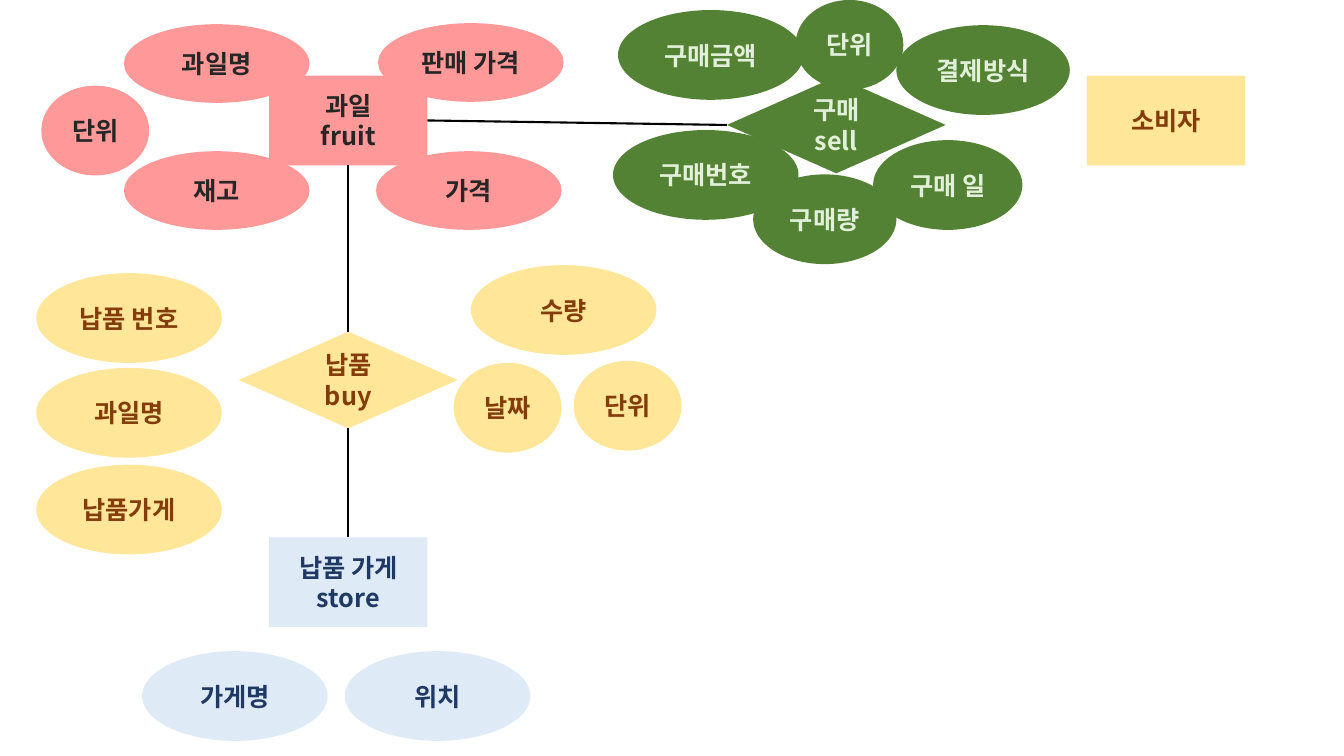
from dataclasses import dataclass

from lxml import etree
from pptx import Presentation
from pptx.dml.color import RGBColor
from pptx.enum import shapes, text
from pptx.oxml import ns
from pptx.util import Inches, Pt


@dataclass(frozen=True)
class Theme:
    font: str = "Noto Sans CJK KR"
    size: float = 18
    line: str = "000000"
    line_width: float = 1.5
    # (fill, text) pairs
    fruit: tuple = ("FF9999", "262626")
    supply: tuple = ("FFE699", "843C0B")
    store: tuple = ("DEEBF7", "203864")
    sale: tuple = ("548235", "E2F0D9")


THEME = Theme()
KIND = shapes.MSO_SHAPE
ENTITY_SIZE = (1.57, 0.89)
RELATION_SIZE = (2.17, 0.96)
HEIGHT = 0.89
WIDE, SMALL = 1.84, 1.07
BOTTOM, TOP, RIGHT, LEFT = 2, 0, 3, 1  # connection sites

# label, left, top, width, height
FRUIT_ATTRIBUTES = [
    ("과일명", 1.23, 0.24, WIDE, 0.78),
    ("가격", 3.73, 1.5, WIDE, 0.78),
    ("재고", 1.23, 1.5, WIDE, 0.78),
    ("판매 가격", 3.75, 0.23, WIDE, 0.78),
    ("단위", 0.41, 0.85, SMALL, HEIGHT),
]
STORE_ATTRIBUTES = [
    ("가게명", 1.41, 6.46, WIDE, HEIGHT),
    ("위치", 3.42, 6.46, WIDE, HEIGHT),
]
SUPPLY_ATTRIBUTES = [
    ("납품 번호", 0.36, 2.71, WIDE, HEIGHT),
    ("과일명", 0.36, 3.65, WIDE, HEIGHT),
    ("납품가게", 0.36, 4.61, WIDE, HEIGHT),
    ("수량", 4.67, 2.63, WIDE, HEIGHT),
    ("날짜", 4.5, 3.6, SMALL, HEIGHT),
    ("단위", 5.69, 3.58, SMALL, HEIGHT),
]
SALE_ATTRIBUTES = [
    ("구매번호", 6.08, 1.29, WIDE, HEIGHT),
    ("구매량", 7.47, 1.73, 1.42, HEIGHT),
    ("단위", 7.89, 0, SMALL, HEIGHT),
    ("구매금액", 6.13, 0.1, WIDE, HEIGHT),
    ("구매 일", 8.66, 1.39, 1.48, HEIGHT),
    ("결제방식", 8.89, 0.25, 1.72, HEIGHT),
]


def write_label(tf, label, color):
    """Write each line of the label as a centred paragraph."""
    tf.word_wrap = True
    tf.vertical_anchor = text.MSO_ANCHOR.MIDDLE
    formats = {"name": THEME.font, "size": Pt(THEME.size), "bold": True}
    for i, line in enumerate(label.split("\n")):
        p = tf.add_paragraph() if i else tf.paragraphs[0]
        p.alignment = text.PP_ALIGN.CENTER
        r = p.add_run()
        r.text = line
        for name, value in formats.items():
            setattr(r.font, name, value)
        r.font.color.rgb = RGBColor.from_string(color)
        ea = etree.SubElement(r.font._element, ns.qn("a:ea"))
        ea.set("typeface", THEME.font)


def add_node(s, kind, label, left, top, width, height, colors):
    fill, color = colors
    sp = s.shapes.add_shape(kind, *map(Inches, (left, top, width, height)))
    sp.shadow.inherit = False
    sp.fill.solid()
    sp.fill.fore_color.rgb = RGBColor.from_string(fill)
    sp.line.fill.background()
    write_label(sp.text_frame, label, color)
    return sp


def add_entity(s, label, left, top, colors):
    return add_node(s, KIND.RECTANGLE, label, left, top, *ENTITY_SIZE, colors)


def add_relation(s, label, left, top, colors):
    return add_node(s, KIND.DIAMOND, label, left, top, *RELATION_SIZE, colors)


def add_attributes(s, attributes, colors):
    for attribute in attributes:
        add_node(s, KIND.OVAL, *attribute, colors)


def add_link(s, start, start_site, end, end_site):
    link = s.shapes.add_connector(shapes.MSO_CONNECTOR.STRAIGHT, 0, 0, 0, 0)
    link.begin_connect(start, start_site)
    link.end_connect(end, end_site)
    link.line.color.rgb = RGBColor.from_string(THEME.line)
    link.line.width = Pt(THEME.line_width)
    etree.SubElement(link._element.spPr, ns.qn("a:effectLst"))


def main():
    prs = Presentation()
    prs.slide_width, prs.slide_height = Inches(13.33), Inches(7.5)
    s = prs.slides.add_slide(prs.slide_layouts[6])

    fruit = add_entity(s, "과일\nfruit", 2.67, 0.75, THEME.fruit)
    add_entity(s, "소비자", 10.78, 0.75, THEME.supply)
    add_attributes(s, FRUIT_ATTRIBUTES, THEME.fruit)

    store = add_entity(s, "납품 가게\nstore", 2.67, 5.33, THEME.store)
    add_attributes(s, STORE_ATTRIBUTES, THEME.store)

    supply = add_relation(s, "납품\nbuy", 2.37, 3.29, THEME.supply)
    add_attributes(s, SUPPLY_ATTRIBUTES, THEME.supply)

    sale = add_relation(s, "구매\nsell", 7.21, 0.76, THEME.sale)
    add_attributes(s, SALE_ATTRIBUTES, THEME.sale)

    add_link(s, fruit, RIGHT, sale, LEFT)
    add_link(s, fruit, BOTTOM, supply, TOP)
    add_link(s, supply, BOTTOM, store, TOP)

    prs.save("out.pptx")


if __name__ == "__main__":
    main()
